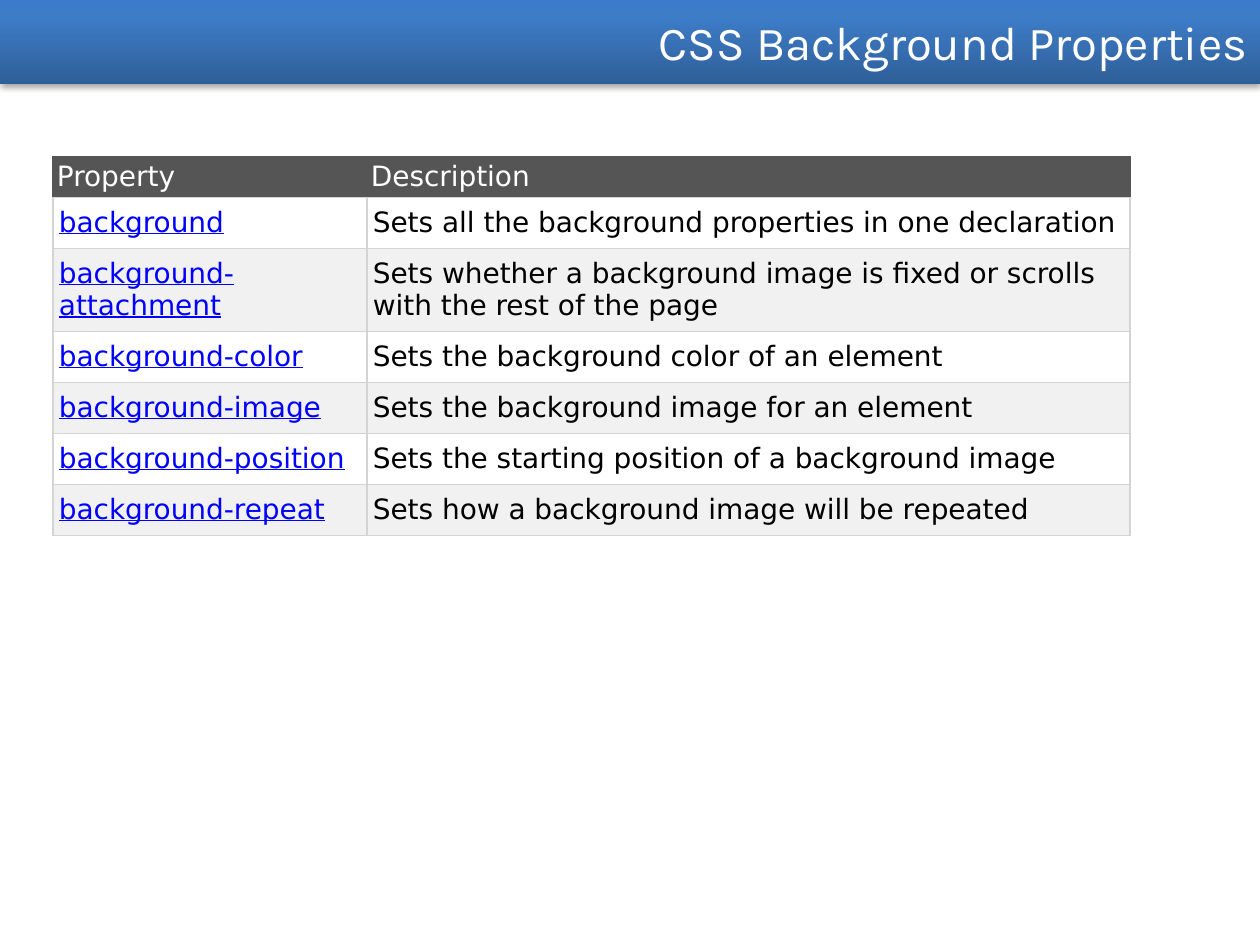
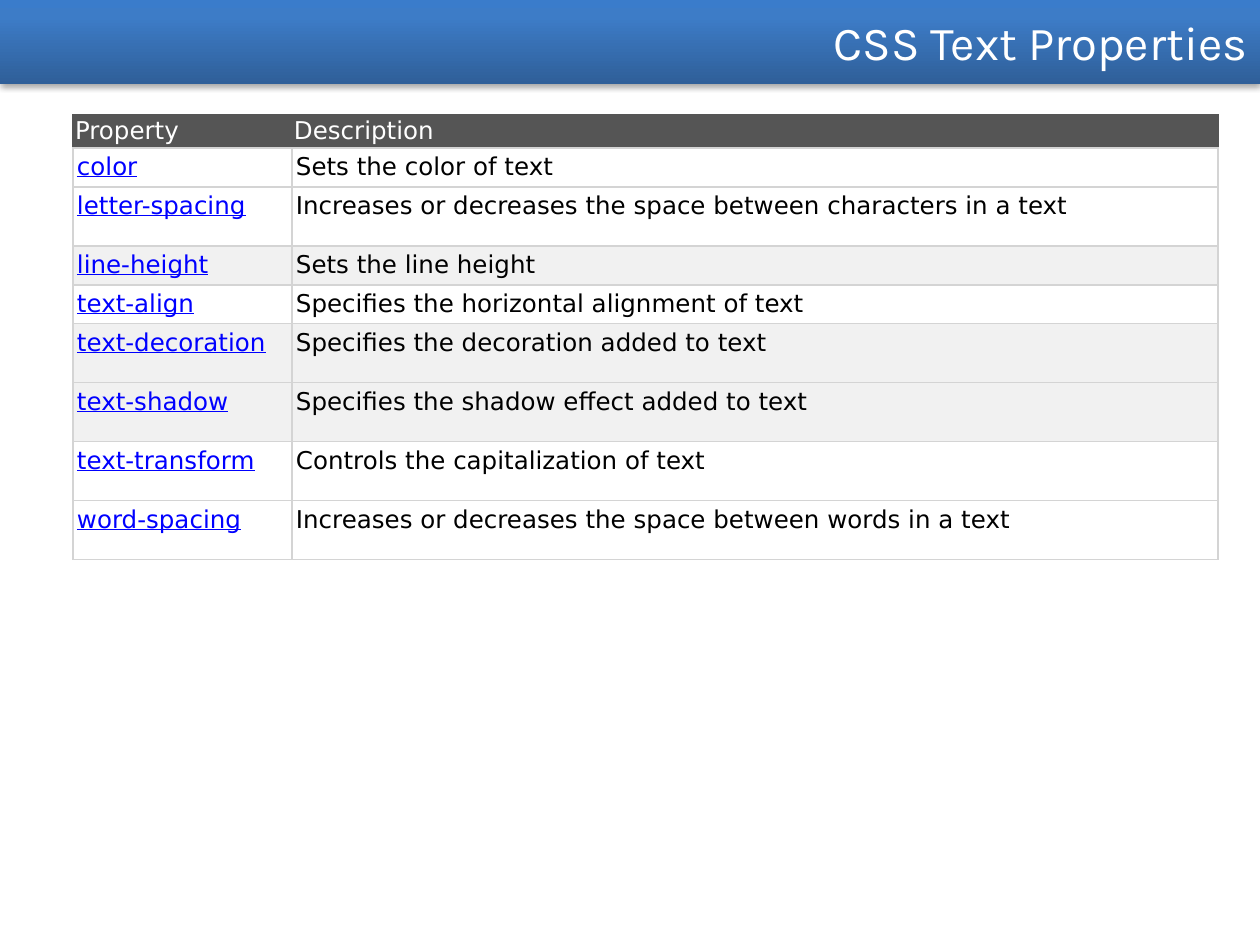
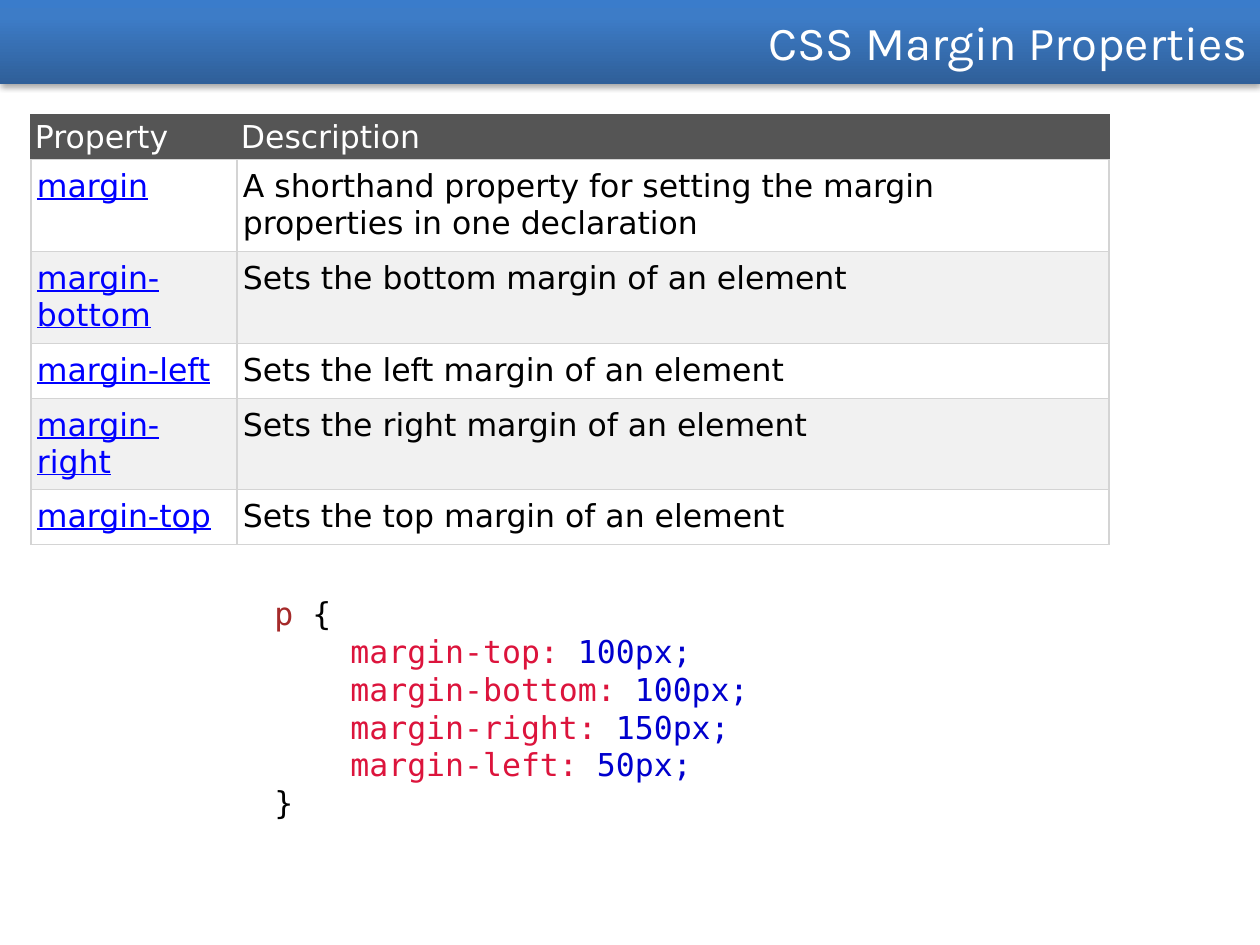
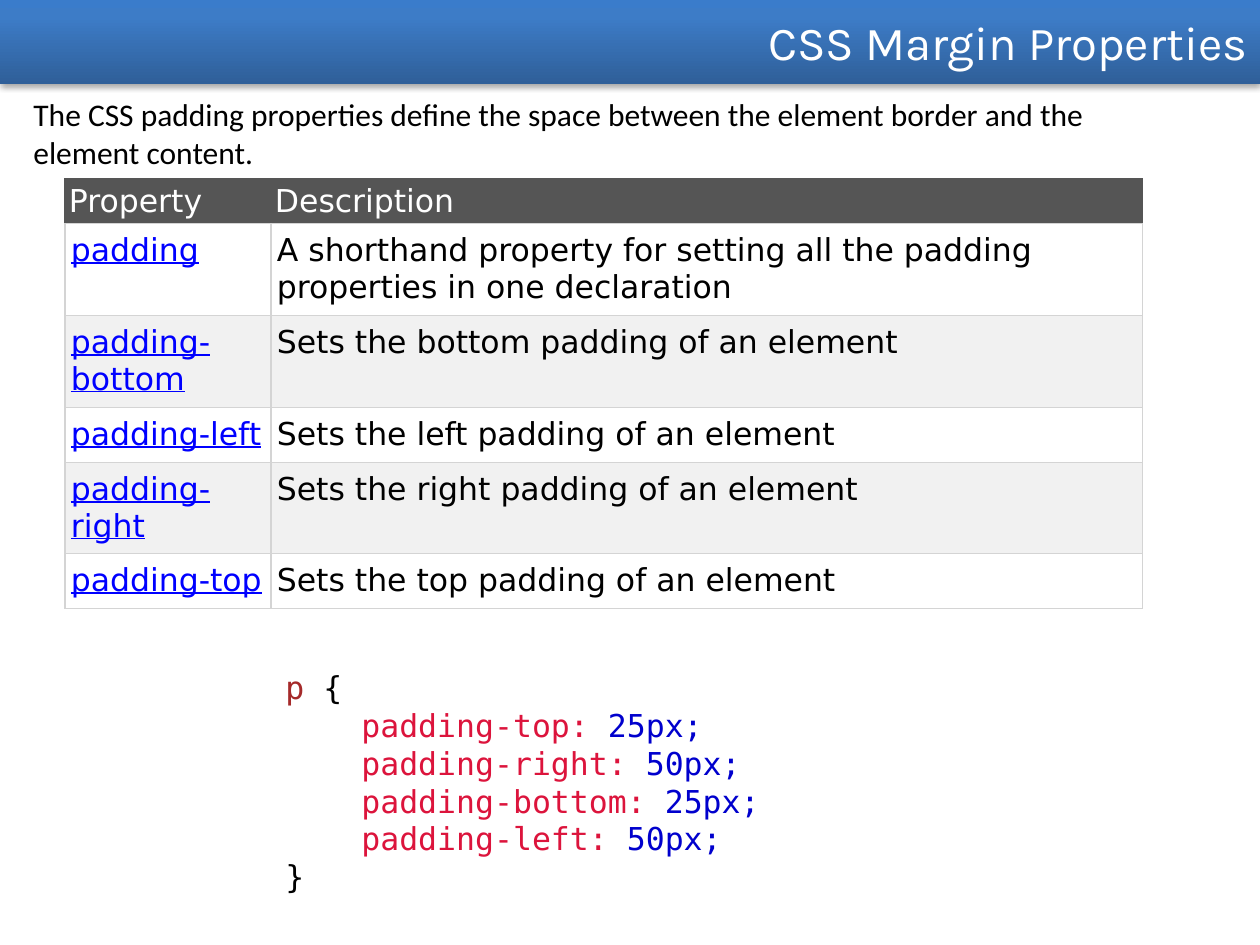
from lxml.etree import SubElement
from pptx import Presentation
from pptx.dml.color import RGBColor
from pptx.enum.text import MSO_ANCHOR, MSO_AUTO_SIZE, PP_ALIGN
from pptx.oxml import parse_xml
from pptx.oxml.ns import nsdecls, qn
from pptx.util import Emu, Pt

PX = 914400 / 126
WHITE = RGBColor(0xFF, 0xFF, 0xFF)
BLACK = RGBColor(0, 0, 0)
HEADER = RGBColor(0x55, 0x55, 0x55)
SHADE = RGBColor(0xF1, 0xF1, 0xF1)
GRID = RGBColor(0xD4, 0xD4, 0xD4)
LINK = RGBColor(0, 0, 0xFF)
SELECTOR = RGBColor(0xA5, 0x2A, 0x2A)
PROPERTY = RGBColor(0xDC, 0x14, 0x3C)
VALUE = RGBColor(0, 0, 0xCD)
BAND_STOPS = [(0, RGBColor(0x2F, 0x5F, 0x99)), (80, RGBColor(0x3D, 0x7C, 0xC7)),
              (100, RGBColor(0x3A, 0x7C, 0xCB))]

stops = "".join(f'<a:gs pos="{pos * 1000}"><a:srgbClr val="{color}"/></a:gs>'
                for pos, color in BAND_STOPS)
BAND_FILL = (f'<a:gradFill {nsdecls("a")} rotWithShape="1"><a:gsLst>{stops}</a:gsLst>'
             '<a:lin ang="16200000" scaled="0"/></a:gradFill>')
BAND_SHADOW = (f'<a:effectLst {nsdecls("a")}><a:outerShdw blurRad="40000" dist="23000" '
               'dir="5400000" rotWithShape="0"><a:srgbClr val="000000">'
               '<a:alpha val="35000"/></a:srgbClr></a:outerShdw></a:effectLst>')

slides = [
    dict(
        title="CSS Background Properties", at=(53, 157), cols=(314, 763), size=16,
        heights=(40, 51, 83, 51, 51, 51, 51), insets=((4, 4), (6, 9)), shaded=(2, 4, 6),
        rows=[
            ("background", "Sets all the background properties in one declaration"),
            ("background-attachment",
             "Sets whether a background image is fixed or scrolls with the rest of the page"),
            ("background-color", "Sets the background color of an element"),
            ("background-image", "Sets the background image for an element"),
            ("background-position", "Sets the starting position of a background image"),
            ("background-repeat", "Sets how a background image will be repeated"),
        ]),
    dict(
        title="CSS Text Properties", at=(73, 115), cols=(219, 926), size=14,
        heights=(33, 39, 59, 39, 39, 59, 59, 59, 59), insets=((2, 2), (4, 5)),
        shaded=(3, 5, 6),
        rows=[
            ("color", "Sets the color of text"),
            ("letter-spacing", "Increases or decreases the space between characters in a text"),
            ("line-height", "Sets the line height"),
            ("text-align", "Specifies the horizontal alignment of text"),
            ("text-decoration", "Specifies the decoration added to text"),
            ("text-shadow", "Specifies the shadow effect added to text"),
            ("text-transform", "Controls the capitalization of text"),
            ("word-spacing", "Increases or decreases the space between words in a text"),
        ]),
    dict(
        title="CSS Margin Properties", at=(31, 115), cols=(206, 872), size=18,
        heights=(44, 92, 92, 55, 91, 55), insets=((4, 4), (6, 9)), shaded=(2, 4),
        rows=[
            ("margin", "A shorthand property for setting the margin properties in one declaration"),
            ("margin-bottom", "Sets the bottom margin of an element"),
            ("margin-left", "Sets the left margin of an element"),
            ("margin-right", "Sets the right margin of an element"),
            ("margin-top", "Sets the top margin of an element"),
        ],
        code_at=(262, 588, 630, 318),
        code=[("margin-top:", "100px;"), ("margin-bottom:", "100px;"),
              ("margin-right:", "150px;"), ("margin-left:", "50px;")]),
    dict(
        title="CSS Margin Properties", at=(65, 179), cols=(206, 872), size=18,
        heights=(44, 92, 92, 55, 91, 55), insets=((4, 4), (6, 9)), shaded=(2, 4),
        rows=[
            ("padding",
             "A shorthand property for setting all the padding properties in one declaration"),
            ("padding-bottom", "Sets the bottom padding of an element"),
            ("padding-left", "Sets the left padding of an element"),
            ("padding-right", "Sets the right padding of an element"),
            ("padding-top", "Sets the top padding of an element"),
        ],
        intro="The CSS padding properties define the space between the element border "
              "and the element content.",
        code_at=(273, 662, 630, 242),
        code=[("padding-top:", "25px;"), ("padding-right:", "50px;"),
              ("padding-bottom:", "25px;"), ("padding-left:", "50px;")]),
]


def px(*lengths):
    return [Emu(round(n * PX)) for n in lengths]


def style(r, font, size, color):
    r.font.name = font
    r.font.size = Pt(size)
    r.font.color.rgb = color
    r.font.bold = False


prs = Presentation()
prs.slide_width, prs.slide_height = px(1260, 945)

for data in slides:
    s = prs.slides.add_slide(prs.slide_layouts[5])
    sp = s.shapes.title
    sp.left, sp.top, sp.width, sp.height = px(0, 0, 1260, 84)
    sp_pr = sp.element.spPr
    sp_pr.append(parse_xml(BAND_FILL))
    sp_pr.append(parse_xml(BAND_SHADOW))
    tf = sp.text_frame
    tf.text = data["title"]
    tf.auto_size = MSO_AUTO_SIZE.NONE
    tf.vertical_anchor = MSO_ANCHOR.MIDDLE
    tf.paragraphs[0].alignment = PP_ALIGN.RIGHT
    style(tf.paragraphs[0].runs[0], "Karla", 27, WHITE)

    rows = [("Property", "Description")] + data["rows"]
    cols, heights = data["cols"], data["heights"]
    table = s.shapes.add_table(len(rows), len(cols),
                               *px(*data["at"], sum(cols), sum(heights))).table
    table.first_row = table.horz_banding = False
    for col, width in zip(table.columns, px(*cols)):
        col.width = width
    for row, height in zip(table.rows, px(*heights)):
        row.height = height
    for i, texts in enumerate(rows):
        for j, text in enumerate(texts):
            cell = table.cell(i, j)
            pad_x, pad_y = px(*data["insets"][min(i, 1)])
            cell.margin_left = cell.margin_right = pad_x
            cell.margin_top = cell.margin_bottom = pad_y
            tc_pr = cell._tc.get_or_add_tcPr()
            for side in ("lnL", "lnR", "lnT", "lnB"):
                ln = SubElement(tc_pr, qn(f"a:{side}"), w="9525")
                fill = SubElement(ln, qn("a:solidFill"))
                edge = HEADER if i == 0 and side != "lnB" else GRID
                SubElement(fill, qn("a:srgbClr"), val=str(edge))
            cell.fill.solid()
            cell.fill.fore_color.rgb = (HEADER if i == 0 else
                                        SHADE if i in data["shaded"] else WHITE)
            cell.text = text
            r = cell.text_frame.paragraphs[0].runs[0]
            style(r, "DejaVu Sans", data["size"],
                  WHITE if i == 0 else LINK if j == 0 else BLACK)
            r.font.underline = i > 0 and j == 0

    if "intro" in data:
        tf = s.shapes.add_textbox(*px(21, 89, 1166, 89)).text_frame
        tf.word_wrap = True
        tf.text = data["intro"]
        style(tf.paragraphs[0].runs[0], "Calibri", 18, BLACK)

    if "code" in data:
        tf = s.shapes.add_textbox(*px(*data["code_at"])).text_frame
        tf.word_wrap = True
        lines = [[("p ", SELECTOR), ("{", BLACK)]]
        lines += [[(name, PROPERTY), (f" {value}", VALUE)] for name, value in data["code"]]
        lines.append([("}", BLACK)])
        for i, line in enumerate(lines):
            p = tf.add_paragraph() if i else tf.paragraphs[0]
            p.line_spacing = Pt(21.6)
            if 0 < i < len(lines) - 1:
                p._p.get_or_add_pPr().set("marL", str(px(76)[0]))
            for text, color in line:
                r = p.add_run()
                r.text = text
                style(r, "DejaVu Sans Mono", 18, color)

prs.save("out.pptx")
